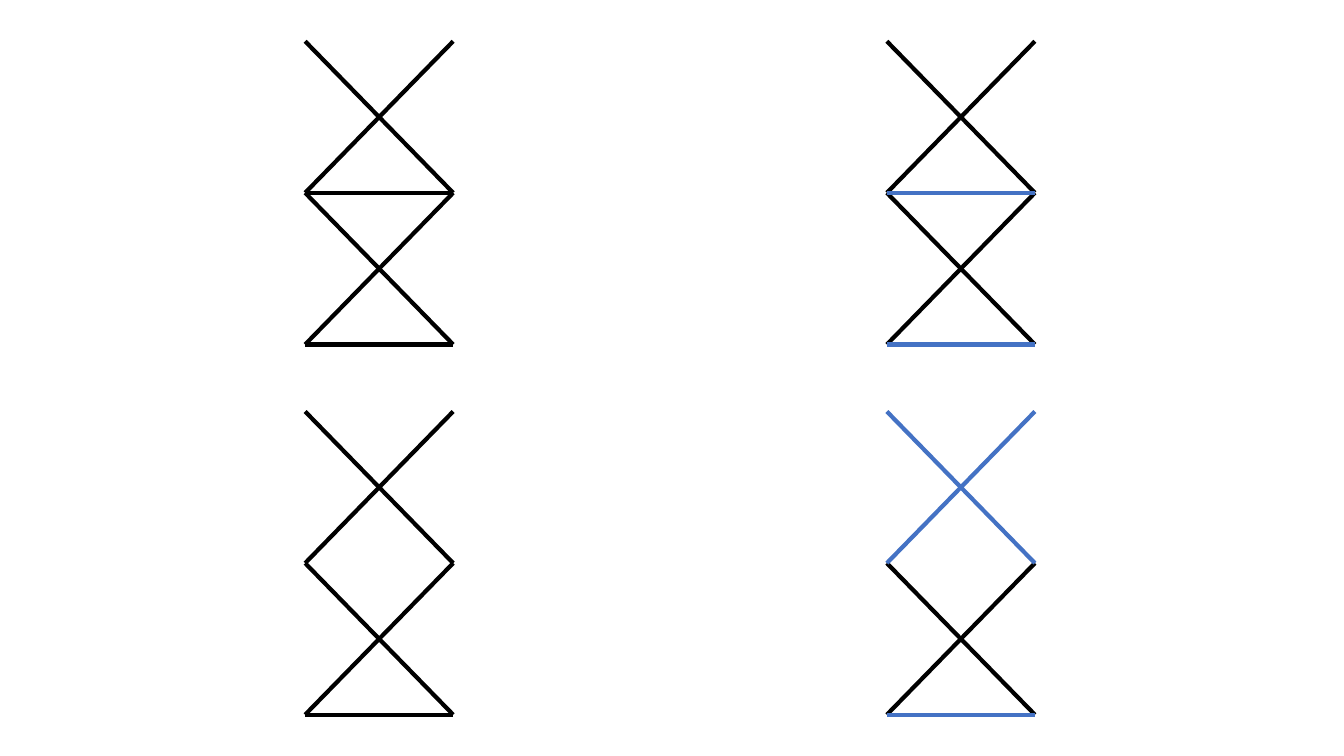
from pptx import Presentation
from pptx.dml.color import RGBColor
from pptx.enum.shapes import MSO_CONNECTOR
from pptx.oxml.ns import qn
from pptx.util import Cm, Pt
from lxml.etree import SubElement

BLACK, BLUE = "000000", "4472C4"
WIDE, HIGH = 3.73, 7.64
COLS, ROWS = (7.69, 22.35), (1.04, 10.37)
LIFTS = (
    ({"cross": (BLACK, BLACK), "bars": (BLACK, BLACK)},
     {"cross": (BLACK, BLACK), "bars": (BLUE, BLUE)}),
    ({"cross": (BLACK, BLACK), "bars": (None, BLACK)},
     {"cross": (BLUE, BLACK), "bars": (None, BLUE)}),
)


def paint(color, code):
    color.rgb = RGBColor.from_string(code)


def draw_line(slide, start, end, code):
    line = slide.shapes.add_connector(
        MSO_CONNECTOR.STRAIGHT, *map(Cm, (*start, *end)))
    style = {"width": Pt(3)}
    for name, value in style.items():
        setattr(line.line, name, value)
    paint(line.line.color, code)
    SubElement(line._element.spPr, qn("a:effectLst"))


def draw_lift(slide, left, top, width, height, cross, bars):
    right = left + width
    step = height / len(cross)
    for stage in reversed(range(len(cross))):
        high, low = top + stage * step, top + (stage + 1) * step
        draw_line(slide, (left, high), (right, low), cross[stage])
        draw_line(slide, (right, high), (left, low), cross[stage])
    for stage, code in enumerate(bars, 1):
        if code:
            low = top + stage * step
            draw_line(slide, (left, low), (right, low), code)


def main():
    deck = Presentation()
    size = {"slide_width": Cm(33.87), "slide_height": Cm(19.05)}
    for name, value in size.items():
        setattr(deck, name, value)
    slide = deck.slides.add_slide(deck.slide_layouts[6])
    for top, row in zip(ROWS, LIFTS):
        for left, lift in zip(COLS, row):
            draw_lift(slide, left, top, WIDE, HIGH, **lift)
    deck.save("out.pptx")


if __name__ == "__main__":
    main()
